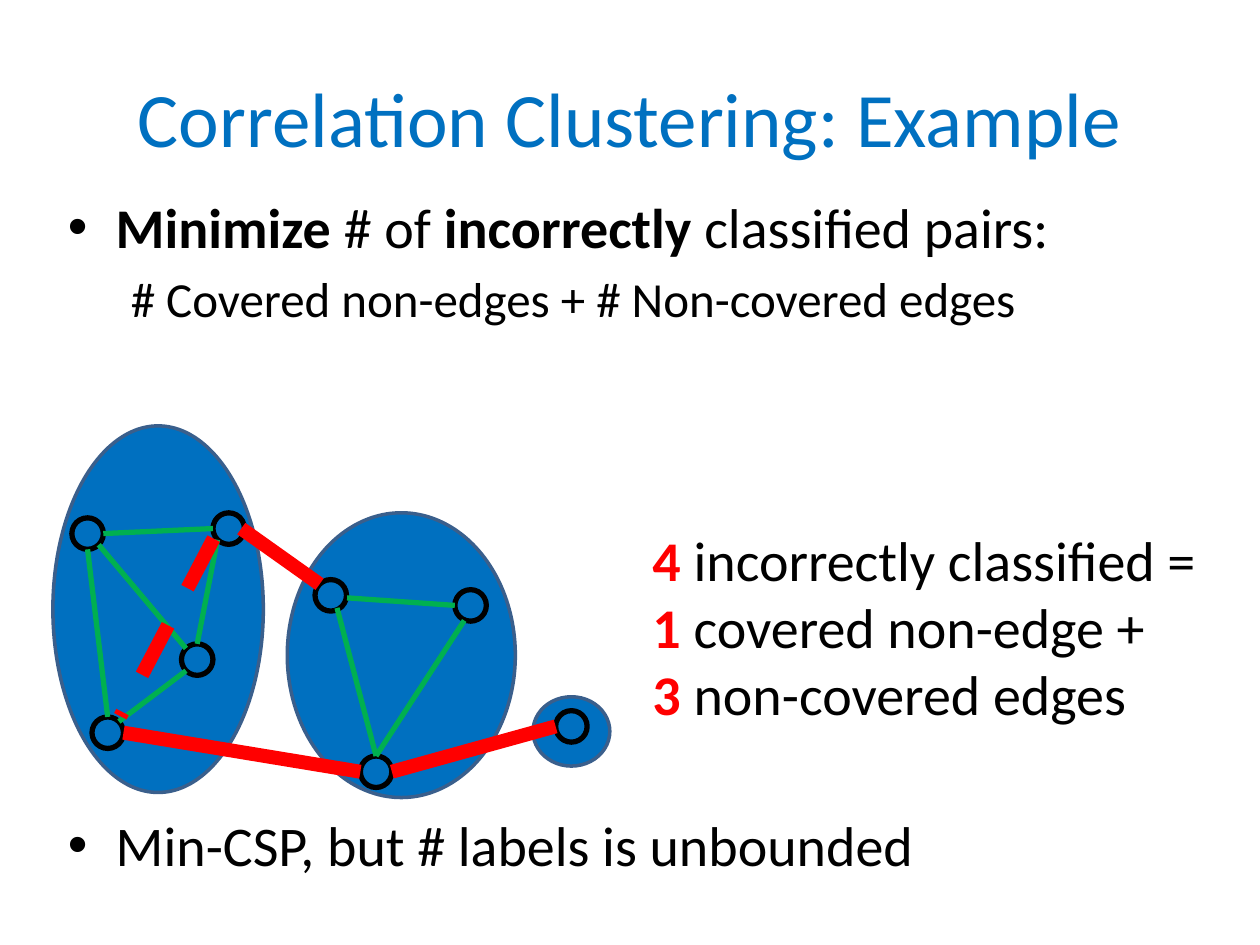
from lxml import etree
from pptx import Presentation
from pptx.dml.color import RGBColor
from pptx.enum import dml, shapes, text
from pptx.oxml.ns import qn
from pptx.util import Inches, Pt

FONT = "Calibri"
COLORS = {"blue": "0070C0", "rim": "3A5F8C", "black": "000000",
          "green": "00B050", "red": "FF0000"}

# Each paragraph is a list of (words, bold, color) runs
TITLE = [[("Correlation Clustering: Example", False, "blue")]]
GOAL = [[("Minimize ", True, "black"), ("# of ", False, "black"),
         ("incorrectly ", True, "black"), ("classified pairs:", False, "black")]]
COST = [[("# Covered non-edges + # Non-covered edges", False, "black")]]
REMARK = [[("Min-CSP, but # labels is unbounded", False, "black")]]
COUNTS = [[(number, True, "red"), (words, False, "black")] for number, words in [
    ("4", " incorrectly classified ="),
    ("1", " covered non-edge +"),
    ("3", " non-covered edges"),
]]

CLUSTERS = [(4.23, 5.53, 0.61, 0.55), (0.42, 3.38, 1.67, 2.91), (2.28, 4.07, 1.81, 2.26)]

NODE_SIZE = 0.25
NODES = {  # left, top
    "a": (0.57, 4.11), "b": (0.73, 5.69), "c": (1.69, 4.07), "d": (1.44, 5.11),
    "e": (2.5, 4.6), "f": (3.61, 4.68), "g": (2.86, 6), "h": (4.41, 5.64),
}
RADIUS = NODE_SIZE / 2
DIAGONAL = RADIUS * 0.71
RIM = {  # offsets from a node's centre
    "N": (0, -RADIUS), "S": (0, RADIUS), "W": (-RADIUS, 0), "E": (RADIUS, 0),
    "NW": (-DIAGONAL, -DIAGONAL), "NE": (DIAGONAL, -DIAGONAL),
    "SW": (-DIAGONAL, DIAGONAL), "SE": (DIAGONAL, DIAGONAL),
}
# node, side or own offset, node, side or own offset
CORRECT_EDGES = [
    ("a", "E", "c", "W"), ("d", "N", "c", "SW"), ("b", "N", "a", "S"),
    ("b", "NE", "d", "SW"), ("a", "SE", "d", "NW"), ("e", (0.13, 0.02), "f", "W"),
    ("e", (0.05, 0.1), "g", "N"), ("f", (-0.05, 0.12), "g", "N"),
]
MISSED_EDGES = [("e", "NW", "c", (0.1, 0)), ("g", "W", "b", "E"), ("h", "W", "g", "E")]
COVERED_NON_EDGES = [("c", (-0.12, 0.08), "b", (0.1, -0.13))]


def rgb(name):
    return RGBColor.from_string(COLORS[name])


def add_text(slide, box, paragraphs, size, bullet=False, **formats):
    frame = slide.shapes.add_textbox(*map(Inches, box)).text_frame
    frame.word_wrap = True
    for index, runs in enumerate(paragraphs):
        paragraph = frame.paragraphs[0] if index == 0 else frame.add_paragraph()
        if bullet:
            properties = paragraph._p.get_or_add_pPr()
            properties.set("marL", str(Inches(0.38)))
            properties.set("indent", str(Inches(-0.38)))
            etree.SubElement(properties, qn("a:buFont")).set("typeface", "Arial")
            etree.SubElement(properties, qn("a:buChar")).set("char", "•")
        for name, value in formats.items():
            setattr(paragraph, name, value)
        for words, bold, color in runs:
            run = paragraph.add_run()
            run.text = words
            for name, value in {"name": FONT, "size": Pt(size), "bold": bold}.items():
                setattr(run.font, name, value)
            run.font.color.rgb = rgb(color)
    return frame


def add_ellipse(slide, box, rim, width):
    ellipse = slide.shapes.add_shape(shapes.MSO_SHAPE.OVAL, *map(Inches, box))
    ellipse.shadow.inherit = False
    ellipse.fill.solid()
    ellipse.fill.fore_color.rgb = rgb("blue")
    ellipse.line.color.rgb = rgb(rim)
    ellipse.line.width = Pt(width)


def rim_point(node, side):
    offsets = RIM[side] if isinstance(side, str) else side
    return [Inches(corner + RADIUS + offset)
            for corner, offset in zip(NODES[node], offsets)]


def add_edges(slide, edges, color, width, dash=None):
    for start, start_side, end, end_side in edges:
        edge = slide.shapes.add_connector(
            shapes.MSO_CONNECTOR.STRAIGHT,
            *rim_point(start, start_side), *rim_point(end, end_side))
        edge.line.color.rgb = rgb(color)
        edge.line.width = Pt(width)
        if dash:
            edge.line.dash_style = dash
        etree.SubElement(edge._element.spPr, qn("a:effectLst"))


def main():
    deck = Presentation()
    deck.slide_width, deck.slide_height = Inches(10), Inches(7.5)
    slide = deck.slides.add_slide(deck.slide_layouts[6])

    title = add_text(slide, (0.5, 0.3, 9, 1.25), TITLE, 44,
                     alignment=text.PP_ALIGN.CENTER)
    title.vertical_anchor = text.MSO_ANCHOR.MIDDLE
    add_text(slide, (0.44, 1.48, 9, 0.64), GOAL, 32, bullet=True)
    add_text(slide, (0.94, 2.08, 8.5, 0.57), COST, 28)
    add_text(slide, (0.44, 6.38, 9, 0.64), REMARK, 32, bullet=True)

    for cluster in CLUSTERS:
        add_ellipse(slide, cluster, "rim", 2)
    for corner in NODES.values():
        add_ellipse(slide, (*corner, NODE_SIZE, NODE_SIZE), "black", 3)
    add_edges(slide, CORRECT_EDGES, "green", 3)
    add_edges(slide, MISSED_EDGES, "red", 8)
    add_edges(slide, COVERED_NON_EDGES, "red", 8, dml.MSO_LINE.DASH)

    add_text(slide, (5.08, 4.12, 4.92, 1.72), COUNTS, 32)
    deck.save("out.pptx")


if __name__ == "__main__":
    main()
